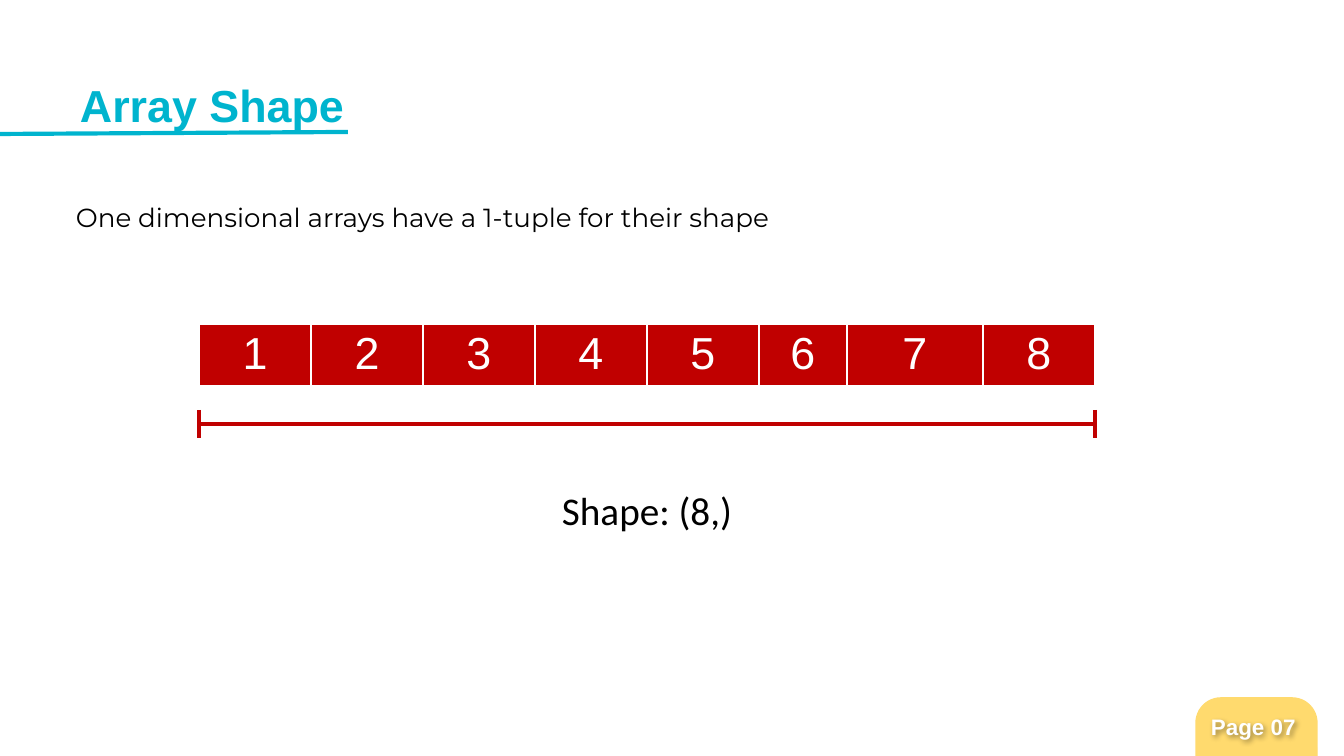
from itertools import accumulate
from lxml.etree import SubElement
from pptx import Presentation
from pptx.dml.color import RGBColor
from pptx.enum.shapes import MSO_CONNECTOR, MSO_SHAPE
from pptx.enum.text import PP_ALIGN
from pptx.oxml import parse_xml
from pptx.oxml.ns import nsdecls, qn
from pptx.util import Pt

PX = 914400 / 134.4
RED, CYAN, YELLOW, WHITE, BLACK = "C00000", "00B4CE", "FFDA6E", "FFFFFF", "000000"
COLUMNS = [112] * 5 + [88, 136, 112]
LEFT, RIGHT = 199, 1095


def px(*values):
    """Turn pixel lengths into EMU."""
    return [round(v * PX) for v in values]


def rgb(value):
    """Turn a hex string into a colour."""
    return RGBColor.from_string(value)


def set_text(tf, text, color, align=None, spacing=None, **font):
    """Write one formatted paragraph."""
    p = tf.paragraphs[0]
    for name, value in {"alignment": align, "line_spacing": spacing}.items():
        setattr(p, name, value)
    r = p.add_run()
    r.text = text
    for name, value in font.items():
        setattr(r.font, name, value)
    r.font.color.rgb = rgb(color)


def add_text(s, box, text, color, insets, **style):
    """Add a wrapping text box with horizontal and vertical insets."""
    sp = s.shapes.add_textbox(*px(*box))
    tf = sp.text_frame
    tf.word_wrap = True
    x, y = px(*insets)
    margins = {"margin_left": x, "margin_right": x, "margin_top": y, "margin_bottom": y}
    for name, value in margins.items():
        setattr(tf, name, value)
    set_text(tf, text, color, **style)
    return sp


def add_line(shapes, ends, color):
    """Add a straight line without a shadow."""
    line = shapes.add_connector(MSO_CONNECTOR.STRAIGHT, *px(*ends))
    line.line.color.rgb = rgb(color)
    line.line.width = Pt(2.25)
    SubElement(line._element.spPr, qn("a:effectLst"))


def add_badge(s, box, color):
    """Add the page tab with rounded top corners."""
    sp = s.shapes.add_shape(MSO_SHAPE.ROUND_2_SAME_RECTANGLE, *px(*box))
    sp.adjustments[0] = 0.43
    sp.shadow.inherit = False
    sp.fill.solid()
    for fill in (sp.fill.fore_color, sp.line.color):
        fill.rgb = rgb(color)
    sp.line.width = Pt(0.75)


def add_text_shadow(sp):
    """Give the text of an unfilled box a soft shadow."""
    sp._element.spPr.append(parse_xml(
        f'<a:effectLst {nsdecls("a")}><a:outerShdw blurRad="38100" dist="19050" dir="2700000">'
        '<a:srgbClr val="000000"><a:alpha val="40000"/></a:srgbClr>'
        '</a:outerShdw></a:effectLst>'))


def set_borders(cell):
    """Draw white cell borders with a heavier bottom edge."""
    for i, (side, width) in enumerate({"L": 1, "R": 1, "T": 1, "B": 3}.items()):
        cell._tc.get_or_add_tcPr().insert(i, parse_xml(
            f'<a:ln{side} {nsdecls("a")} w="{Pt(width)}"><a:solidFill>'
            f'<a:srgbClr val="{WHITE}"/></a:solidFill></a:ln{side}>'))


def add_array(s, x, y, height):
    """Add the array as a one-row table of counted cells."""
    box = px(x, y, sum(COLUMNS), height)
    table = s.shapes.add_table(1, len(COLUMNS), *box).table
    for i, (cell, width) in enumerate(zip(table.rows[0].cells, COLUMNS)):
        table.columns[i].width = px(width)[0]
        cell.fill.solid()
        cell.fill.fore_color.rgb = rgb(RED)
        margins = dict(zip(("margin_left", "margin_right", "margin_top", "margin_bottom"),
                           px(11, 11, 5, 5)))
        for name, value in margins.items():
            setattr(cell, name, value)
        set_text(cell.text_frame, str(i + 1), WHITE, align=PP_ALIGN.CENTER,
                 name="Arial", size=Pt(24), bold=False)
        set_borders(cell)


def add_bracket(s, left, right, y, tick):
    """Add a grouped span line with a tick at each end."""
    group = s.shapes.add_group_shape()
    add_line(group.shapes, (left, y, right, y), RED)
    for x in (left, right):
        add_line(group.shapes, (x, y - tick, x, y + tick), RED)


def main():
    """Build the slide."""
    prs = Presentation()
    prs.slide_width, prs.slide_height = px(1344, 756)
    s = prs.slides.add_slide(prs.slide_layouts[6])
    add_badge(s, (1196, 698, 121, 58), YELLOW)
    page = add_text(s, (1198, 700, 142, 54), "Page 07", WHITE, (13, 13),
                    name="Arial", size=Pt(12), bold=True)
    add_text_shadow(page)
    add_line(s.shapes, (0, 134, 348, 132), CYAN)
    add_text(s, (67, 200, 1159, 69), "One dimensional arrays have a 1-tuple for their shape",
             BLACK, (9, 5), spacing=0.9, name="Montserrat", size=Pt(14))
    add_array(s, LEFT, 324, 64)
    add_bracket(s, LEFT, RIGHT, 424, 14)
    add_text(s, (LEFT, 487, RIGHT - LEFT, 69), "Shape: (8,)", BLACK, (9, 5),
             align=PP_ALIGN.CENTER, spacing=0.9, name="Calibri", size=Pt(21))
    add_text(s, (67, 65, 832, 82), "Array Shape", CYAN, (13, 13),
             name="Arial", size=Pt(24), bold=True)
    prs.save("out.pptx")


if __name__ == "__main__":
    main()
